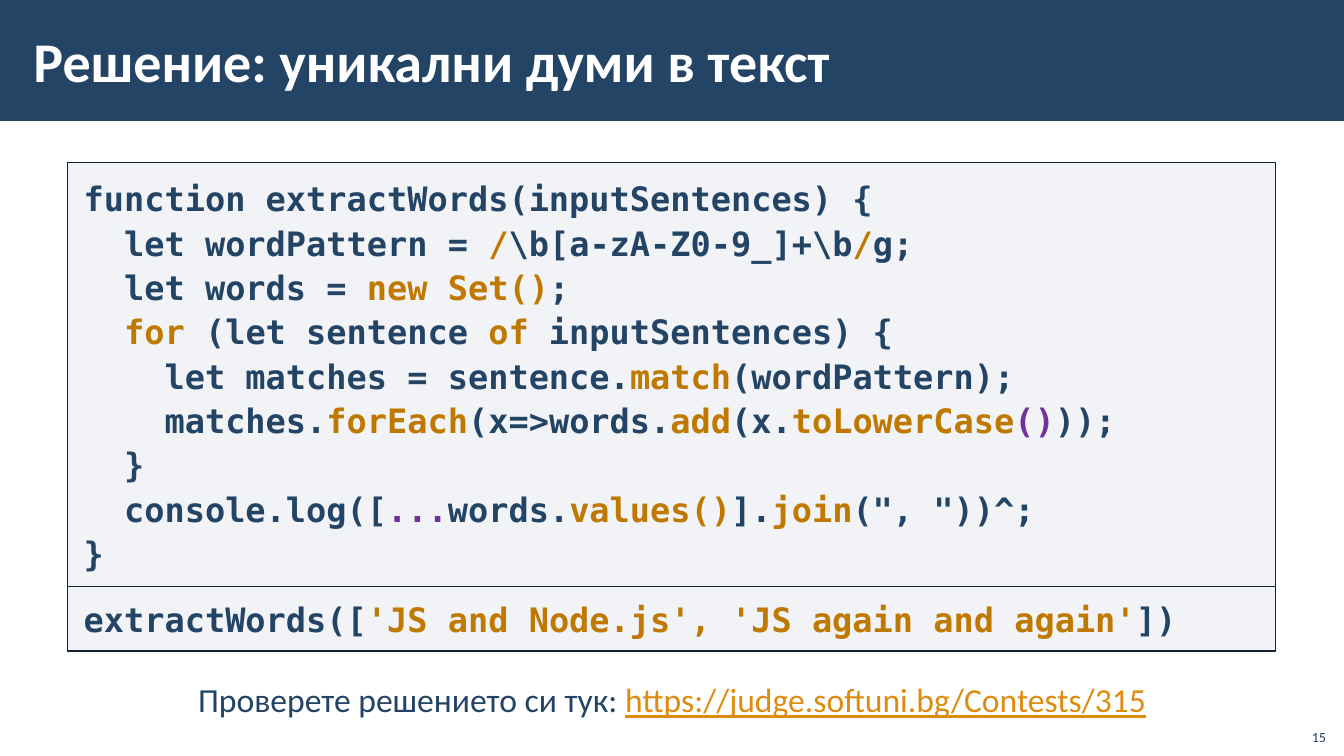
from pptx import Presentation
from pptx.dml.color import RGBColor
from pptx.enum.shapes import MSO_SHAPE
from pptx.enum.text import MSO_ANCHOR, PP_ALIGN
from pptx.oxml.ns import qn
from pptx.util import Inches, Pt
from lxml.etree import SubElement

# Content: each line is a list of (text, tone) runs
TITLE = [[("Решение: уникални думи в текст", "white")]]
CODE = [
    [("function extractWords(inputSentences) {", "navy")],
    [("  let wordPattern = ", "navy"), ("/", "amber"),
     (r"\b[a-zA-Z0-9_]+\b", "navy"), ("/", "amber"), ("g;", "navy")],
    [("  let words = ", "navy"), ("new Set()", "amber"), (";", "navy")],
    [("  ", "navy"), ("for", "amber"), (" (let sentence ", "navy"),
     ("of", "amber"), (" inputSentences) {", "navy")],
    [("    let matches = sentence.", "navy"), ("match", "amber"),
     ("(wordPattern);", "navy")],
    [("    matches.", "navy"), ("forEach", "amber"), ("(x=>words.", "navy"),
     ("add", "amber"), ("(x.", "navy"), ("toLowerCase", "amber"),
     ("()", "purple"), ("));", "navy")],
    [("  }", "navy")],
    [("  console.log([", "navy"), ("...", "purple"), ("words.", "navy"),
     ("values()", "amber"), ("].", "navy"), ("join", "amber"),
     ('(", "))^;', "navy")],
    [("}", "navy")],
]
CALL = [[("extractWords([", "navy"),
         ("'JS and Node.js', 'JS again and again'", "amber"), ("])", "navy")]]
CHECK = [[("Проверете решението си тук: ", "navy"),
          ("https://judge.softuni.bg/Contests/315", "link")]]
NUMBER = [[("15", "navy")]]

# Theme
THEME = {
    "colors": {"navy": "234465", "white": "FFFFFF", "amber": "BF7800",
               "purple": "7030A0", "link": "DF8B0F",
               "panel": "ADB4C3", "border": "112233"},
    "title": {"name": "Calibri", "size": Pt(40), "bold": True},
    "code": {"name": "DejaVu Sans Mono", "size": Pt(24), "bold": True},
    "check": {"name": "Calibri", "size": Pt(24)},
    "number": {"name": "Calibri", "size": Pt(10)},
}
PANEL_OPACITY = 15

# Layout in inches
WIDTH, HEIGHT = 13.33, 7.5
HEADER_HEIGHT = 0.16 * HEIGHT
PANEL_LEFT, PANEL_WIDTH = 0.67, 11.98
CODE_TOP, CODE_HEIGHT, CALL_HEIGHT = 1.61, 4.21, 0.64
PANEL_INSETS = (0.16, 0.12)


def color(name):
    return RGBColor.from_string(THEME["colors"][name])


def set_format(target, values):
    for name, value in values.items():
        setattr(target, name, value)


def write(shape, lines, style, insets=(0.1, 0.05), anchor=MSO_ANCHOR.TOP,
          **paragraph_format):
    frame = shape.text_frame
    side, end = map(Inches, insets)
    set_format(frame, {"word_wrap": True, "vertical_anchor": anchor,
                       "margin_left": side, "margin_right": side,
                       "margin_top": end, "margin_bottom": end})
    for index, line in enumerate(lines):
        paragraph = frame.paragraphs[0] if index == 0 else frame.add_paragraph()
        set_format(paragraph, {"alignment": PP_ALIGN.LEFT, **paragraph_format})
        for text, tone in line:
            run = paragraph.add_run()
            run.text = text
            set_format(run.font, THEME[style])
            run.font.color.rgb = color(tone)
            if tone == "link":
                run.font.underline = True


def add_rectangle(slide, box, fill):
    shape = slide.shapes.add_shape(MSO_SHAPE.RECTANGLE, *map(Inches, box))
    shape.shadow.inherit = False
    shape.fill.solid()
    shape.fill.fore_color.rgb = color(fill)
    shape.line.fill.background()
    return shape


def add_panel(slide, top, height):
    panel = add_rectangle(slide, (PANEL_LEFT, top, PANEL_WIDTH, height), "panel")
    panel.line.color.rgb = color("border")
    panel.line.width = Pt(1)
    # Translucent fill
    fill_color = panel.fill._xPr.find(qn("a:solidFill"))[0]
    SubElement(fill_color, qn("a:alpha")).set("val", str(PANEL_OPACITY * 1000))
    return panel


def add_text(slide, box, *content, **options):
    write(slide.shapes.add_textbox(*map(Inches, box)), *content, **options)


def main():
    presentation = Presentation()
    presentation.slide_width = Inches(WIDTH)
    presentation.slide_height = Inches(HEIGHT)
    slide = presentation.slides.add_slide(presentation.slide_layouts[6])

    # Header band and title
    add_rectangle(slide, (0, 0, WIDTH, HEADER_HEIGHT), "navy")
    add_text(slide, (0.21, 0.11, 12.91, 0.97), TITLE, "title",
             insets=(0.12, 0.04), anchor=MSO_ANCHOR.MIDDLE)

    # Stacked code panels
    write(add_panel(slide, CODE_TOP, CODE_HEIGHT), CODE, "code",
          insets=PANEL_INSETS, line_spacing=1.1)
    write(add_panel(slide, CODE_TOP + CODE_HEIGHT, CALL_HEIGHT), CALL, "code",
          insets=PANEL_INSETS, anchor=MSO_ANCHOR.MIDDLE)

    # Check line and slide number
    add_text(slide, (0.89, 6.69, 11.55, 0.5), CHECK, "check",
             alignment=PP_ALIGN.CENTER)
    add_text(slide, (12.85, 7.12, 0.4, 0.32), NUMBER, "number",
             anchor=MSO_ANCHOR.BOTTOM, alignment=PP_ALIGN.RIGHT)

    presentation.save("out.pptx")


if __name__ == "__main__":
    main()
